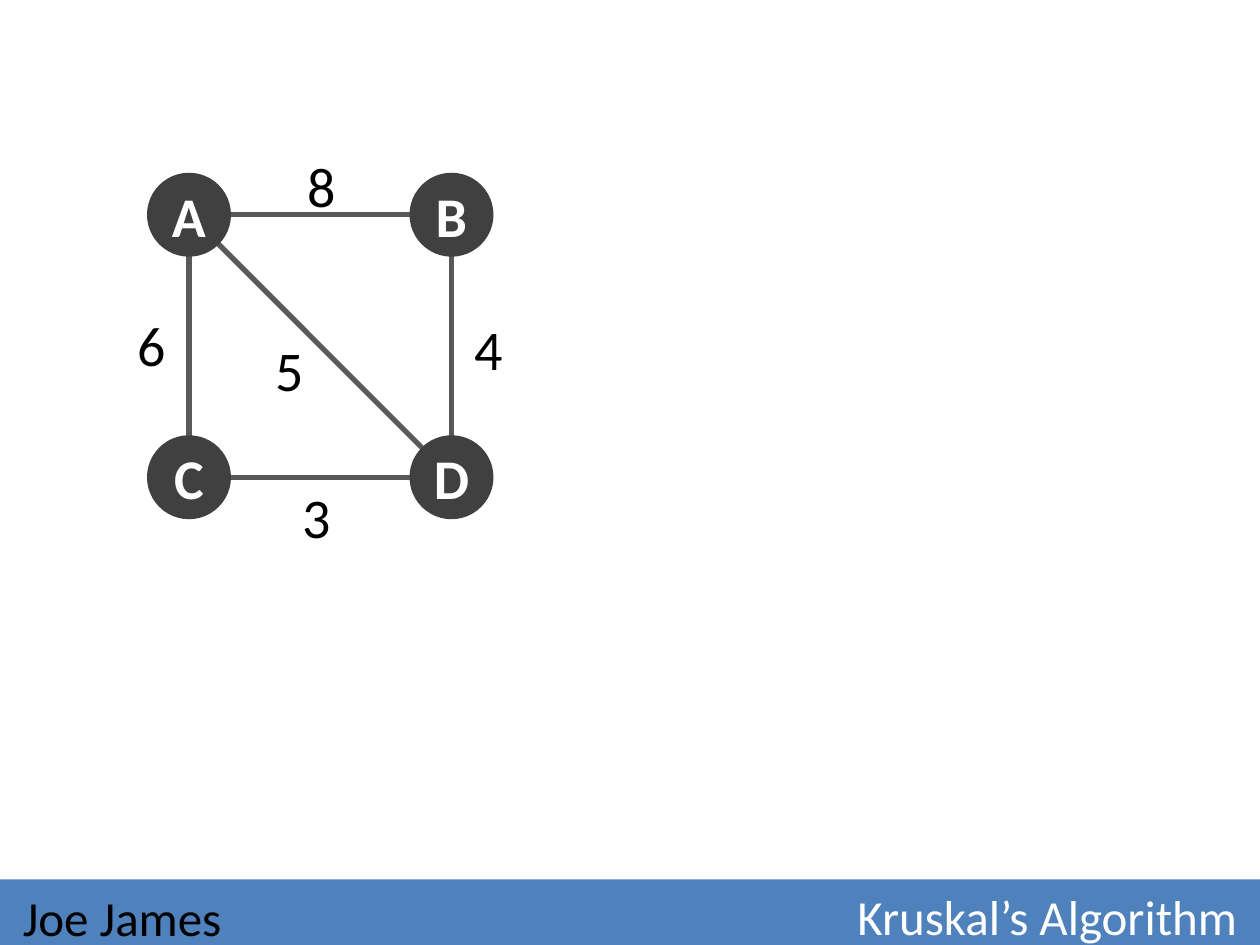
from dataclasses import dataclass

from pptx import Presentation
from pptx.dml.color import RGBColor as Color
from pptx.enum.shapes import MSO_CONNECTOR as Connector, MSO_SHAPE as Shape
from pptx.enum.text import MSO_ANCHOR as Anchor, PP_ALIGN as Align
from pptx.oxml.ns import qn
from pptx.util import Inches, Pt


@dataclass(frozen=True)
class Theme:
    font: str = "Calibri"
    footer_size: int = 28
    graph_size: int = 32
    edge_width: int = 3
    white: Color = Color(0xFF, 0xFF, 0xFF)
    black: Color = Color(0, 0, 0)
    footer: Color = Color(0x4F, 0x81, 0xBD)
    edge: Color = Color(0x59, 0x59, 0x59)
    node: Color = Color(0x40, 0x40, 0x40)


theme = Theme()
presentation = Presentation()
presentation.slide_width, presentation.slide_height = Inches(10), Inches(7.5)
slide = presentation.slides.add_slide(presentation.slide_layouts[6])


def grid(*cells):
    """Turn counts of square cells, 120 columns by 90 rows, into lengths."""
    return [round(presentation.slide_width * cell / 120) for cell in cells]


def write(shape, text, size, color, align=Align.LEFT, anchor=Anchor.TOP, bold=False):
    frame = shape.text_frame
    frame.word_wrap = True
    frame.vertical_anchor = anchor
    paragraph = frame.paragraphs[0]
    paragraph.text = text
    paragraph.alignment = align
    font = paragraph.font
    font.name, font.size, font.bold = theme.font, Pt(size), bold
    font.color.rgb = color


# Footer
footer_top = 83.76
bar = slide.shapes.add_shape(Shape.RECTANGLE, *grid(0, footer_top, 120, 90 - footer_top))
bar.shadow.inherit = False
bar.fill.solid()
bar.fill.fore_color.rgb = theme.footer
bar.line.fill.background()

for text, left, width, height, color, align in (
    ("Kruskal’s Algorithm", 36, 83, 6.96, theme.white, Align.RIGHT),
    ("Joe James", 1, 35, 7.2, theme.black, Align.LEFT),
):
    box = slide.shapes.add_textbox(*grid(left, footer_top, width, height))
    write(box, text, theme.footer_size, color, align, Anchor.MIDDLE)

# Graph: node centres, and edges with the place of each weight
left, top, side, diameter = 18, 20.45, 25, 8
nodes = {
    "A": (left, top),
    "B": (left + side, top),
    "C": (left, top + side),
    "D": (left + side, top + side),
}
edges = (
    ("A", "B", "8", 28.1, 13.8),
    ("B", "D", "4", 44, 29.4),
    ("A", "D", "5", 25.1, 31.4),
    ("A", "C", "6", 11.9, 29),
    ("C", "D", "3", 27.6, 45.4),
)

for start, end, *_ in edges:
    edge = slide.shapes.add_connector(Connector.STRAIGHT, *grid(*nodes[start], *nodes[end]))
    edge.line.color.rgb = theme.edge
    edge.line.width = Pt(theme.edge_width)
    properties = edge._element.spPr
    properties.append(properties.makeelement(qn("a:effectLst"), {}))

for name, (x, y) in nodes.items():
    node = slide.shapes.add_shape(
        Shape.OVAL, *grid(x - diameter / 2, y - diameter / 2, diameter, diameter)
    )
    node.shadow.inherit = False
    node.fill.solid()
    node.fill.fore_color.rgb = theme.node
    node.line.fill.background()
    write(node, name, theme.graph_size, theme.white, Align.CENTER, Anchor.MIDDLE, bold=True)
    frame = node.text_frame
    frame.word_wrap = False
    frame.margin_left = frame.margin_right = frame.margin_top = frame.margin_bottom = 0

for _, _, weight, x, y in edges:
    label = slide.shapes.add_textbox(*grid(x, y, 11.76, 7.68))
    write(label, weight, theme.graph_size, theme.black)

presentation.save("out.pptx")
